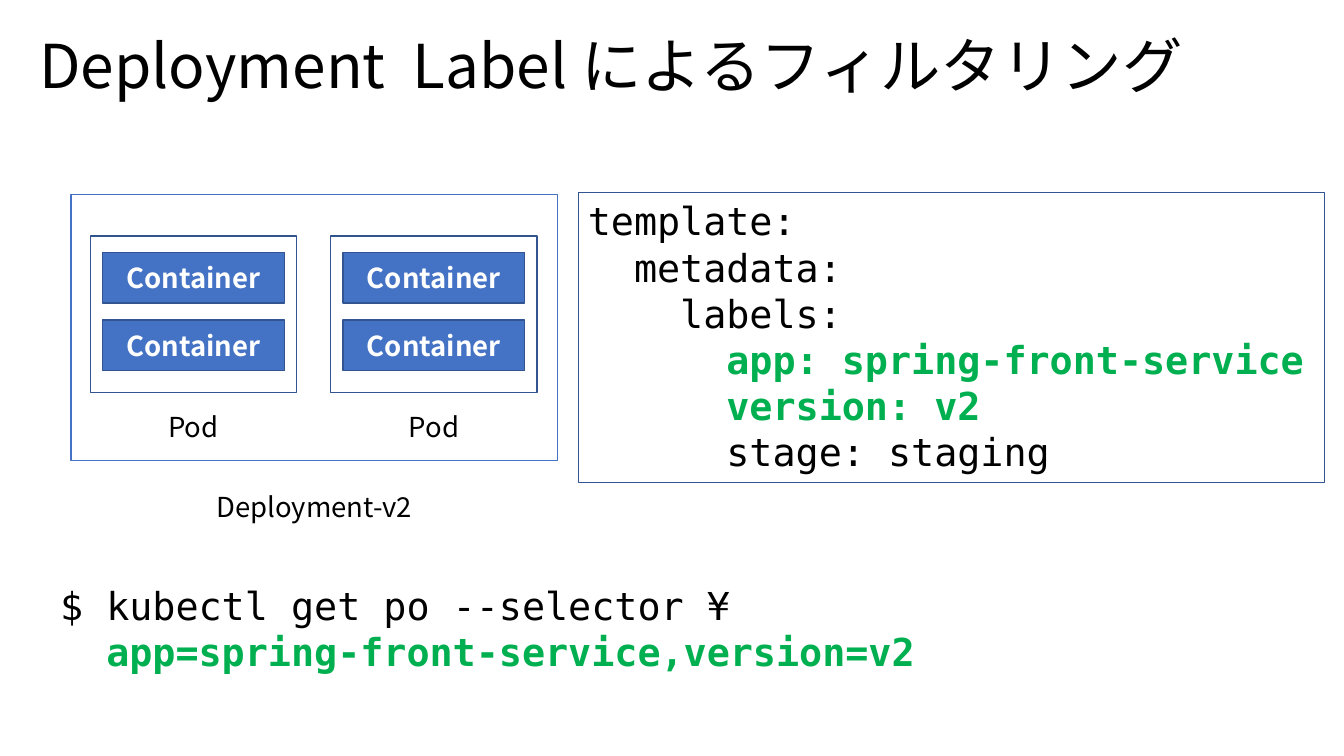
from lxml import etree
from pptx import Presentation
from pptx.dml.color import RGBColor
from pptx.enum import shapes, text
from pptx.oxml.ns import qn
from pptx.util import Pt

SANS = "Noto Sans CJK JP"
MONO = "DejaVu Sans Mono"
BLACK, WHITE, GREEN = "000000", "FFFFFF", "00B050"
BLUE, NAVY = "4472C4", "325491"


def color(hex_value):
    return RGBColor.from_string(hex_value)


def add_run(paragraph, words, size, font_name, hex_value=BLACK, bold=False):
    run = paragraph.add_run()
    run.text = words
    font = run.font
    font.size = Pt(size)
    font.bold = bold
    font.color.rgb = color(hex_value)
    font.name = font_name
    # Japanese characters take their typeface from a:ea
    etree.SubElement(font._element, qn("a:ea"), typeface=font_name)


def add_rectangle(container, left, top, width, height, line, line_width=1, fill=None):
    shape = container.shapes.add_shape(
        shapes.MSO_SHAPE.RECTANGLE, Pt(left), Pt(top), Pt(width), Pt(height))
    shape.shadow.inherit = False
    if fill:
        shape.fill.solid()
        shape.fill.fore_color.rgb = color(fill)
    else:
        shape.fill.background()
    shape.line.color.rgb = color(line)
    shape.line.width = Pt(line_width)
    return shape


def add_text_box(container, left, top, width, height):
    shape = container.shapes.add_textbox(Pt(left), Pt(top), Pt(width), Pt(height))
    shape.text_frame.word_wrap = True
    return shape


def add_title(slide, left, top, width, height, words):
    box = add_text_box(slide, left, top, width, height)
    paragraph = box.text_frame.paragraphs[0]
    paragraph.line_spacing = 0.9
    add_run(paragraph, words, 44, SANS)


def add_caption(container, left, top, width, words):
    frame = add_text_box(container, left, top, width, 45.4).text_frame
    frame.margin_left = frame.margin_right = Pt(14.4)
    frame.margin_top = frame.margin_bottom = Pt(11.5)
    paragraph = frame.paragraphs[0]
    paragraph.alignment = text.PP_ALIGN.CENTER
    paragraph.line_spacing = 0.9
    paragraph.space_after = Pt(6)
    add_run(paragraph, words, 20, SANS)


def add_pod(group, left, top, width, height):
    add_rectangle(group, left, top, width, height, NAVY)
    for row in range(2):
        shape = add_rectangle(group, left + 9, top + 12.2 + row * 49,
                              width - 18, 36.7, NAVY, fill=BLUE)
        frame = shape.text_frame
        frame.vertical_anchor = text.MSO_ANCHOR.MIDDLE
        paragraph = frame.paragraphs[0]
        paragraph.alignment = text.PP_ALIGN.CENTER
        add_run(paragraph, "Container", 20, SANS, WHITE, True)
    add_caption(group, left, top + height + 5, width, "Pod")


def add_deployment(slide, left, top, width, height):
    group = slide.shapes.add_group_shape()
    add_rectangle(group, left, top, width, height, BLUE)
    for column in range(2):
        add_pod(group, left + 13.9 + column * 175.2, top + 30.2, 150.5, 113.8)
    caption_width = 192
    add_caption(group, left + (width - caption_width) / 2, top + height + 13.7,
                caption_width, "Deployment-v2")


def write_code(shape, lines):
    """Each line is (indent, words, highlighted)."""
    frame = shape.text_frame
    frame.word_wrap = True
    frame.vertical_anchor = text.MSO_ANCHOR.TOP
    for index, (indent, words, highlighted) in enumerate(lines):
        paragraph = frame.add_paragraph() if index else frame.paragraphs[0]
        paragraph.alignment = text.PP_ALIGN.LEFT
        add_run(paragraph, " " * indent + words, 28, MONO,
                GREEN if highlighted else BLACK, highlighted)


def add_manifest(slide, left, top, width, height):
    shape = add_rectangle(slide, left, top, width, height, NAVY, 0.75)
    write_code(shape, [
        (0, "template:", False),
        (2, "metadata:", False),
        (4, "labels:", False),
        (6, "app: spring-front-service", True),
        (6, "version: v2", True),
        (6, "stage: staging", False),
    ])


def add_command(slide, left, top, width, height):
    write_code(add_text_box(slide, left, top, width, height), [
        (0, "$ kubectl get po --selector ¥", False),
        (2, "app=spring-front-service,version=v2", True),
    ])


def main():
    presentation = Presentation()
    presentation.slide_width = Pt(979.2)
    presentation.slide_height = Pt(550.8)
    slide = presentation.slides.add_slide(presentation.slide_layouts[6])

    add_title(slide, 21.6, 23, 936, 72, "Deployment  Label によるフィルタリング")
    add_deployment(slide, 51.8, 141.8, 354.2, 193.7)
    add_manifest(slide, 421.2, 140.4, 543.6, 211)
    add_command(slide, 36.7, 420.5, 927.4, 74.9)

    presentation.save("out.pptx")


if __name__ == "__main__":
    main()
